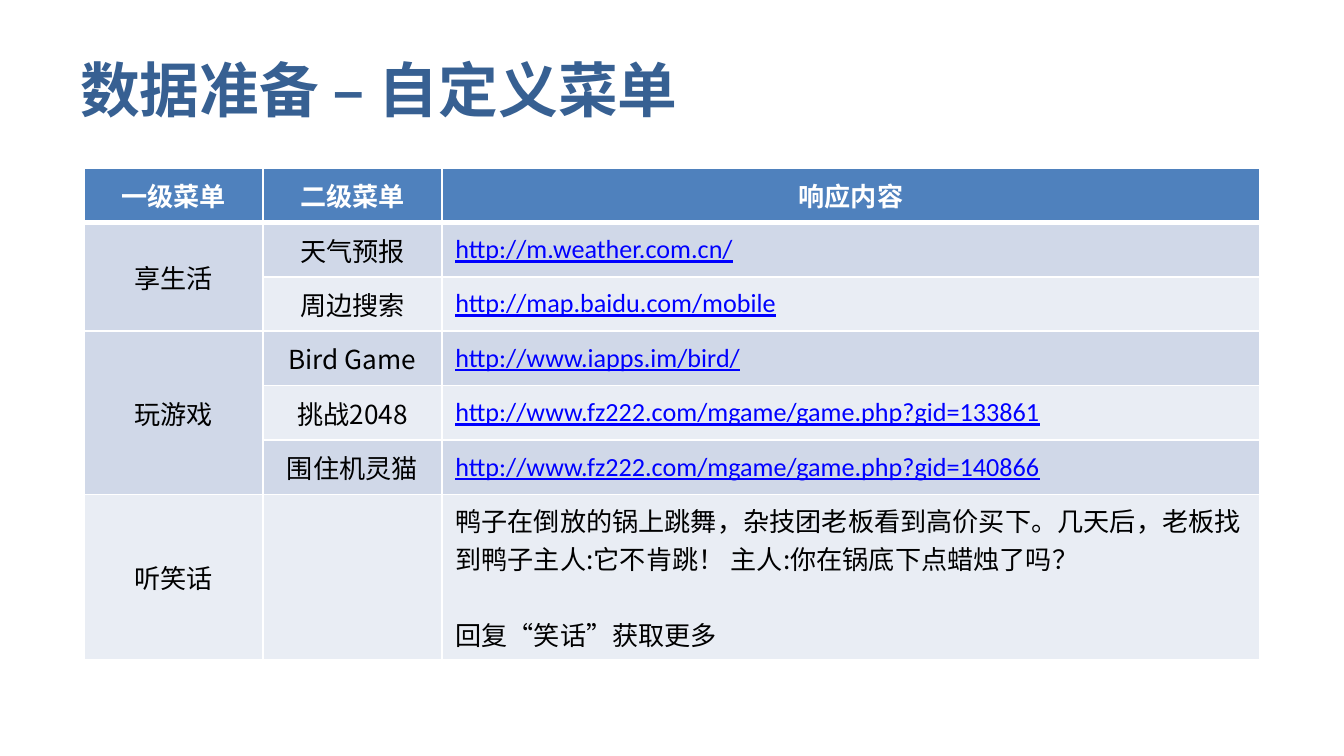
from lxml import etree
from pptx import Presentation
from pptx.dml.color import RGBColor
from pptx.enum.text import MSO_ANCHOR, PP_ALIGN
from pptx.oxml.ns import qn
from pptx.util import Pt

MIDDLE = MSO_ANCHOR.MIDDLE
LEFT, CENTER = PP_ALIGN.LEFT, PP_ALIGN.CENTER
EMU_PER_PX = 914400 / 134.4
CHINESE_FONT, LINK_FONT = "Noto Sans CJK SC", "Calibri"
COLORS = {
    "title": "376092",
    "header": "4F81BD",
    "dark_band": "D0D8E8",
    "light_band": "E9EDF4",
    "white": "FFFFFF",
    "text": "000000",
    "link": "0000FF",
}
COLUMN_WIDTHS = [179, 179, 818]
HEADINGS = ["一级菜单", "二级菜单", "响应内容"]
MENUS = [
    ("享生活", [
        ("天气预报", "http://m.weather.com.cn/"),
        ("周边搜索", "http://map.baidu.com/mobile"),
    ]),
    ("玩游戏", [
        ("Bird Game", "http://www.iapps.im/bird/"),
        ("挑战2048", "http://www.fz222.com/mgame/game.php?gid=133861"),
        ("围住机灵猫", "http://www.fz222.com/mgame/game.php?gid=140866"),
    ]),
    ("听笑话", [
        ("", "鸭子在倒放的锅上跳舞，杂技团老板看到高价买下。几天后，老板找到鸭子主人:"
             "它不肯跳！ 主人:你在锅底下点蜡烛了吗？\n回复“笑话”获取更多"),
    ]),
]


def px(length):
    """Turn pixels into EMU."""
    return round(length * EMU_PER_PX)


def style_paragraph(paragraph, size, color, name=CHINESE_FONT, bold=False, underline=False):
    """Set the font of a whole paragraph."""
    font = paragraph.font
    font.size, font.bold, font.underline = Pt(size), bold, underline
    font.color.rgb = RGBColor.from_string(COLORS[color])
    font.name = name
    properties = paragraph._p.pPr.find(qn("a:defRPr"))
    etree.SubElement(properties, qn("a:ea"), typeface=CHINESE_FONT)


def add_title(slide, text):
    """Add the slide title."""
    frame = slide.shapes.add_textbox(px(67), px(40), px(1210), px(97)).text_frame
    frame.word_wrap = True
    frame.vertical_anchor = MIDDLE
    frame.text = text
    style_paragraph(frame.paragraphs[0], 32, "title", bold=True)


def set_borders(cell, top, bottom):
    """Draw white borders with the given top and bottom widths in points."""
    properties = cell._tc.get_or_add_tcPr()
    for side, width in (("L", 1), ("R", 1), ("T", top), ("B", bottom)):
        line = etree.SubElement(properties, qn(f"a:ln{side}"), w=str(Pt(width)))
        fill = etree.SubElement(line, qn("a:solidFill"))
        etree.SubElement(fill, qn("a:srgbClr"), val=COLORS["white"])


def fill_cell(cell, text, alignment, color="text", **font):
    """Write text into a cell, one paragraph for each line."""
    cell.text = text
    for index, paragraph in enumerate(cell.text_frame.paragraphs):
        paragraph.alignment = alignment
        if index:
            paragraph.space_before = Pt(20)
        style_paragraph(paragraph, 14, color, **font)


def format_grid(table):
    """Set column widths, borders and banded fills."""
    for column, width in zip(table.columns, COLUMN_WIDTHS):
        column.width = px(width)
    for index, row in enumerate(table.rows):
        band = "header" if index == 0 else "dark_band" if index % 2 else "light_band"
        for cell in row.cells:
            set_borders(cell, 3 if index == 1 else 1, 3 if index == 0 else 1)
            cell.fill.solid()
            cell.fill.fore_color.rgb = RGBColor.from_string(COLORS[band])
            cell.vertical_anchor = MIDDLE


def add_menu_table(slide):
    """Add the table of menus, submenus and responses."""
    row_count = 1 + sum(len(entries) for _, entries in MENUS)
    table = slide.shapes.add_table(
        row_count, len(HEADINGS), px(84), px(168), px(sum(COLUMN_WIDTHS)), px(381)
    ).table
    table.rows[row_count - 1].height = px(165)
    format_grid(table)
    for column, heading in enumerate(HEADINGS):
        fill_cell(table.cell(0, column), heading, CENTER, "white", bold=True)
    row = 1
    for menu, entries in MENUS:
        menu_cell = table.cell(row, 0)
        if len(entries) > 1:
            menu_cell.merge(table.cell(row + len(entries) - 1, 0))
        fill_cell(menu_cell, menu, CENTER)
        for submenu, response in entries:
            fill_cell(table.cell(row, 1), submenu, CENTER)
            is_link = response.startswith("http")
            link_style = {"color": "link", "name": LINK_FONT, "underline": True} if is_link else {}
            fill_cell(table.cell(row, 2), response, LEFT, **link_style)
            row += 1


def main():
    """Build and save the slide."""
    presentation = Presentation()
    presentation.slide_width, presentation.slide_height = px(1344), px(756)
    slide = presentation.slides.add_slide(presentation.slide_layouts[6])
    add_title(slide, "数据准备 – 自定义菜单")
    add_menu_table(slide)
    presentation.save("out.pptx")


if __name__ == "__main__":
    main()
